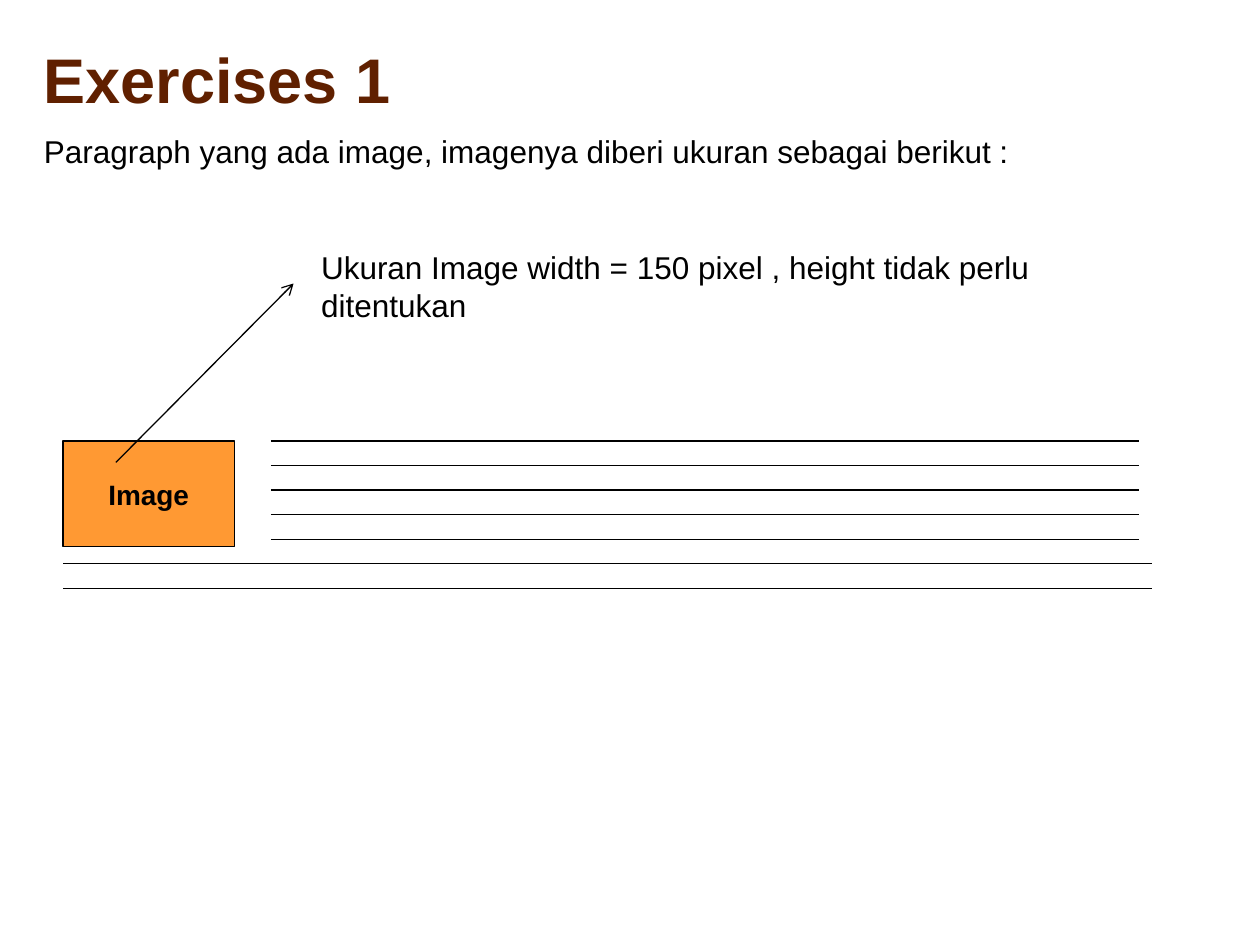
from lxml import etree
from pptx import Presentation
from pptx.dml.color import RGBColor
from pptx.enum.shapes import MSO_CONNECTOR, MSO_SHAPE
from pptx.enum.text import MSO_ANCHOR, PP_ALIGN
from pptx.oxml.ns import qn
from pptx.util import Inches, Pt

LINE = MSO_CONNECTOR.STRAIGHT
RECT = MSO_SHAPE.RECTANGLE
TOP, MID = MSO_ANCHOR.TOP, MSO_ANCHOR.MIDDLE
LEFT, CENTER = PP_ALIGN.LEFT, PP_ALIGN.CENTER
BLACK = RGBColor(0x00, 0x00, 0x00)
BROWN = RGBColor(0x60, 0x20, 0x00)
AMBER = RGBColor(0xFF, 0x99, 0x33)


class Page:
    """Holds the style and the current slide."""

    font = "Arial"
    width = Pt(0.75)

    def __init__(self, deck):
        self.slide = deck.slides.add_slide(deck.slide_layouts[6])
        self.shapes = self.slide.shapes

    def fill_text(self, shape, text, size, color=BLACK, bold=False,
                  align=LEFT, anchor=TOP, wrap=True):
        frame = shape.text_frame
        frame.word_wrap = wrap
        frame.vertical_anchor = anchor
        para = frame.paragraphs[0]
        para.alignment = align
        run = para.add_run()
        run.text = text
        run.font.name = self.font
        run.font.size = Pt(size)
        run.font.bold = bold
        run.font.color.rgb = color

    def label(self, box, text, size, **style):
        self.fill_text(self.shapes.add_textbox(*map(Inches, box)), text, size, **style)

    def block(self, box, text, size, fill):
        shape = self.shapes.add_shape(RECT, *map(Inches, box))
        shape.shadow.inherit = False
        shape.fill.solid()
        shape.fill.fore_color.rgb = fill
        shape.line.color.rgb = BLACK
        shape.line.width = self.width
        self.fill_text(shape, text, size, bold=True, align=CENTER, anchor=MID)

    def rule(self, start, end, arrow=False):
        line = self.shapes.add_connector(LINE, *map(Inches, (*start, *end)))
        line.line.color.rgb = BLACK
        line.line.width = self.width
        props = line.element.spPr
        etree.SubElement(props, qn("a:effectLst"))
        if arrow:
            etree.SubElement(props.find(qn("a:ln")), qn("a:tailEnd"), type="arrow")


def main():
    deck = Presentation()
    deck.slide_width, deck.slide_height = Inches(10), Inches(7.5)
    page = Page(deck)
    page.label((0.25, 0, 9, 1.25), "Exercises 1", 36,
               color=BROWN, bold=True, anchor=MID)
    page.label((0.25, 1, 7.99, 0.4),
               "Paragraph yang ada image, imagenya diberi ukuran sebagai berikut :",
               18, wrap=False)
    page.block((0.5, 3.5, 1.36, 0.84), "Image", 16, AMBER)
    top, bottom = 3.5, 4.67
    step = (bottom - top) / 6
    for left, right, rows in ((2.15, 9.04, range(6)), (0.5, 9.14, (5, 6))):
        for row in rows:
            y = top + row * step
            page.rule((left, y), (right, y))
    page.rule((0.92, 3.67), (2.33, 2.25), arrow=True)
    page.label((2.45, 1.92, 7.04, 0.4),
               "Ukuran Image width = 150 pixel , height tidak perlu ditentukan",
               18, wrap=False)
    deck.save("out.pptx")


if __name__ == "__main__":
    main()
